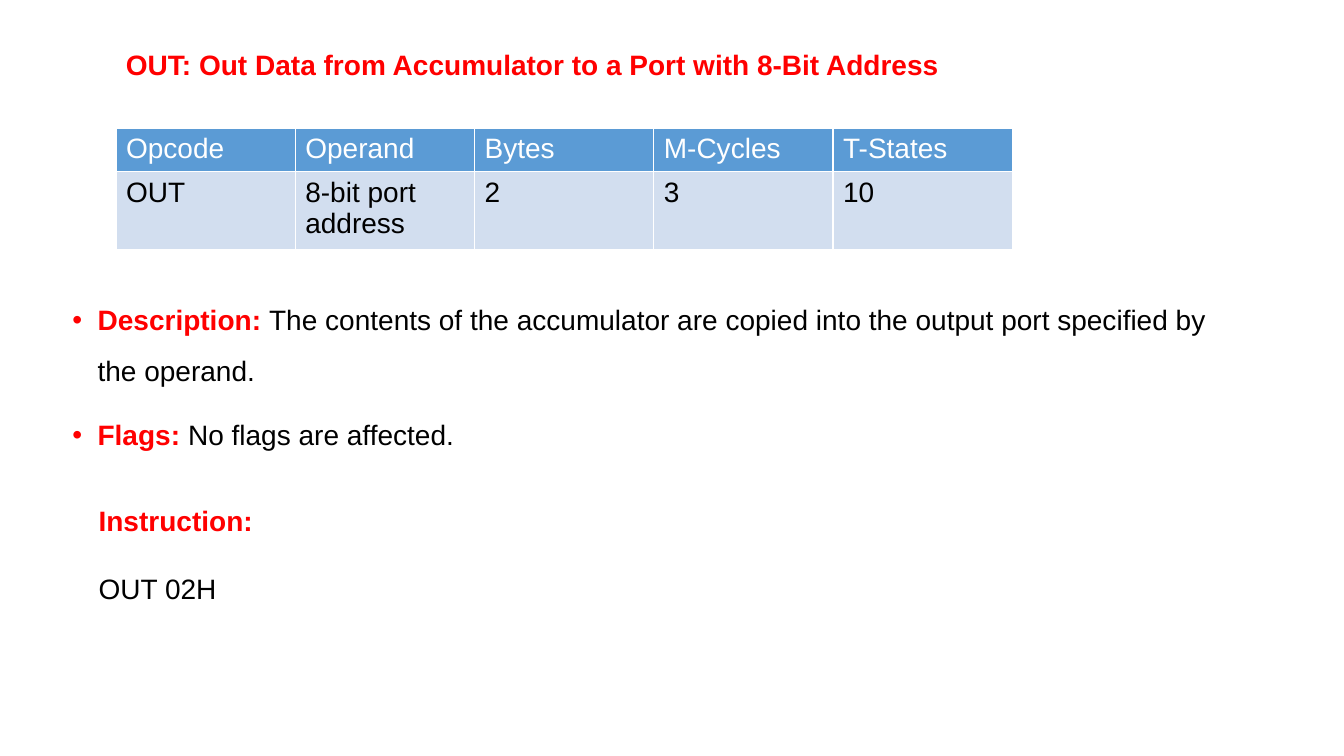
from dataclasses import dataclass

from lxml import etree
from pptx import Presentation
from pptx.dml.color import RGBColor
from pptx.oxml.ns import qn
from pptx.slide import Slide
from pptx.table import _Cell
from pptx.util import Inches, Pt

RED = RGBColor(0xFF, 0x00, 0x00)
BLACK = RGBColor(0x00, 0x00, 0x00)
WHITE = RGBColor(0xFF, 0xFF, 0xFF)
HEADER_BLUE = RGBColor(0x5B, 0x9B, 0xD5)
BODY_BLUE = RGBColor(0xD2, 0xDE, 0xEF)

FONT_NAME = "Arial"
FONT_SIZE = Pt(20)
GRID_STEP = Inches(0.1)


@dataclass(frozen=True)
class Area:
    column: float
    row: float
    columns: float
    rows: float

    def box(self) -> tuple[int, ...]:
        lengths = (self.column, self.row, self.columns, self.rows)
        return tuple(round(length * GRID_STEP) for length in lengths)


@dataclass(frozen=True)
class Line:
    label: str = ""
    body: str = ""
    bullet: bool = False
    space_before: int = 0


@dataclass(frozen=True)
class TextBlock:
    area: Area
    lines: tuple[Line, ...]


@dataclass(frozen=True)
class TableRow:
    texts: tuple[str, ...]
    rows: float
    fill: RGBColor
    color: RGBColor


TEXT_BLOCKS = (
    TextBlock(Area(8.8, 49.5, 23.7, 11.1), (
        Line(label="Instruction:"),
        Line(body="OUT 02H", space_before=24),
    )),
    TextBlock(Area(11.5, 4.2, 87.2, 4.4), (
        Line(label="OUT: Out Data from Accumulator to a Port with 8-Bit Address"),
    )),
    TextBlock(Area(6.2, 27.9, 115, 17.6), (
        Line("Description: ", "The contents of the accumulator are copied into "
             "the output port specified by the operand.", bullet=True),
        Line("Flags: ", "No flags are affected.", bullet=True, space_before=10),
    )),
)

TABLE_AREA = Area(11.5, 12.7, 88.9, 12)
TABLE_ROWS = (
    TableRow(("Opcode", "Operand", "Bytes", "M-Cycles", "T-States"),
             4.3, HEADER_BLUE, WHITE),
    TableRow(("OUT", "8-bit port address", "2", "3", "10"),
             7.7, BODY_BLUE, BLACK),
)


def add_bullet(paragraph) -> None:
    properties = paragraph._p.get_or_add_pPr()
    properties.set("marL", str(Inches(0.25)))
    properties.set("indent", str(-Inches(0.25)))
    color = etree.SubElement(properties, qn("a:buClr"))
    etree.SubElement(color, qn("a:srgbClr"), val=str(RED))
    etree.SubElement(properties, qn("a:buFont"), typeface=FONT_NAME)
    etree.SubElement(properties, qn("a:buChar"), char="•")
    paragraph.line_spacing = 1.5


def add_text_block(slide: Slide, block: TextBlock) -> None:
    frame = slide.shapes.add_textbox(*block.area.box()).text_frame
    frame.word_wrap = True
    for index, line in enumerate(block.lines):
        paragraph = frame.add_paragraph() if index else frame.paragraphs[0]
        if line.bullet:
            add_bullet(paragraph)
        if line.space_before:
            paragraph.space_before = Pt(line.space_before)
        paragraph.font.name = FONT_NAME
        paragraph.font.size = FONT_SIZE
        parts = ((line.label, RED, True), (line.body, BLACK, False))
        shown = [part for part in parts if part[0]]
        for text, color, bold in shown:
            run = paragraph.add_run()
            run.text = text
            font = run.font if len(shown) > 1 else paragraph.font
            font.color.rgb = color
            font.bold = bold


def add_borders(cell: _Cell) -> None:
    properties = cell._tc.get_or_add_tcPr()
    for side in ("L", "R", "T", "B"):
        border = etree.SubElement(properties, qn(f"a:ln{side}"), w=str(Pt(1)))
        fill = etree.SubElement(border, qn("a:solidFill"))
        etree.SubElement(fill, qn("a:srgbClr"), val=str(WHITE))


def fill_cell(cell: _Cell, text: str, row: TableRow) -> None:
    add_borders(cell)
    cell.fill.solid()
    cell.fill.fore_color.rgb = row.fill
    cell.text = text
    font = cell.text_frame.paragraphs[0].font
    font.name = FONT_NAME
    font.size = FONT_SIZE
    font.bold = False
    font.color.rgb = row.color


def add_opcode_table(slide: Slide) -> None:
    table = slide.shapes.add_table(
        len(TABLE_ROWS), len(TABLE_ROWS[0].texts), *TABLE_AREA.box()
    ).table
    table.first_row = False
    table.horz_banding = False
    for row_index, row in enumerate(TABLE_ROWS):
        table.rows[row_index].height = round(row.rows * GRID_STEP)
        for column_index, text in enumerate(row.texts):
            fill_cell(table.cell(row_index, column_index), text, row)


def main() -> None:
    presentation = Presentation()
    presentation.slide_width = Inches(13.33)
    presentation.slide_height = Inches(7.5)
    slide = presentation.slides.add_slide(presentation.slide_layouts[6])
    for block in TEXT_BLOCKS:
        add_text_block(slide, block)
    add_opcode_table(slide)
    presentation.save("out.pptx")


if __name__ == "__main__":
    main()
